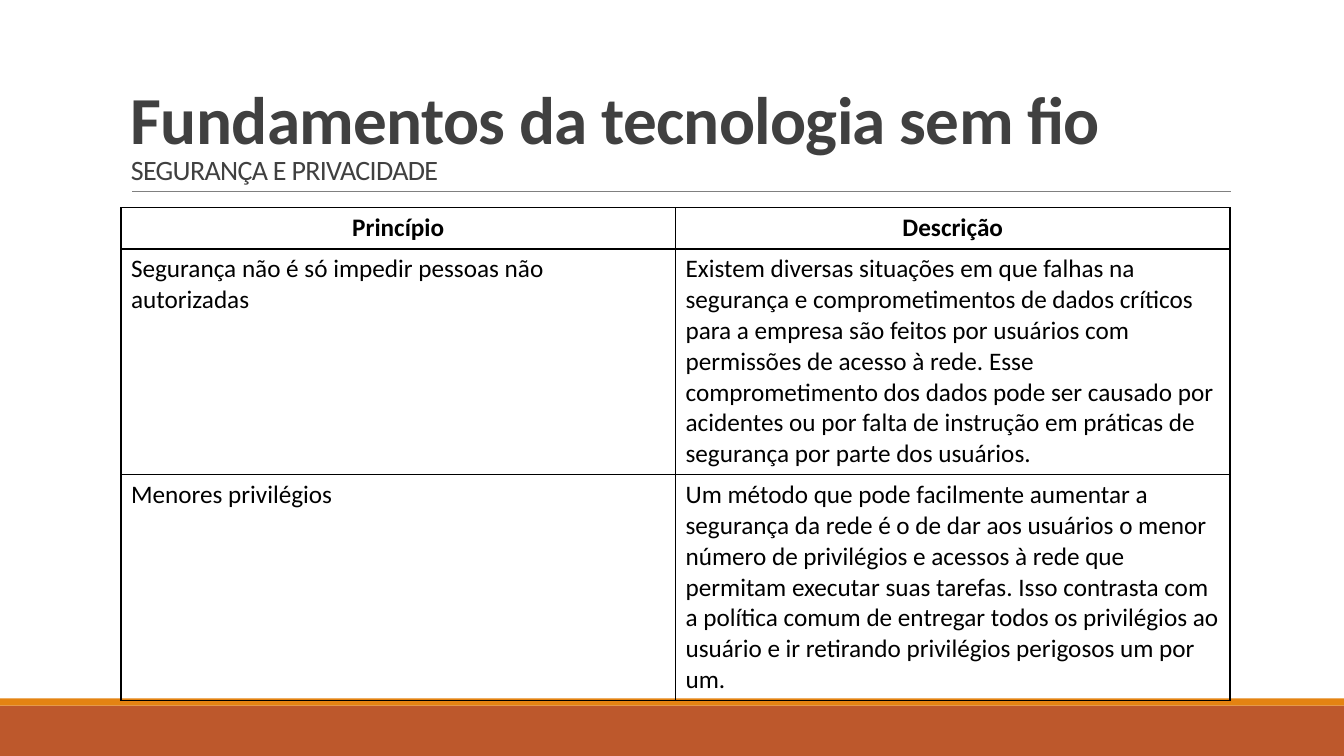
from lxml import etree
from pptx import Presentation
from pptx.dml.color import RGBColor
from pptx.enum.shapes import MSO_CONNECTOR, MSO_SHAPE
from pptx.enum.text import MSO_ANCHOR, PP_ALIGN
from pptx.oxml.ns import qn
from pptx.util import Inches, Pt

RECTANGLE = MSO_SHAPE.RECTANGLE
STRAIGHT = MSO_CONNECTOR.STRAIGHT
BOTTOM = MSO_ANCHOR.BOTTOM
LEFT, CENTER = PP_ALIGN.LEFT, PP_ALIGN.CENTER
RUST = RGBColor(0xBD, 0x58, 0x2C)
ORANGE = RGBColor(0xE4, 0x83, 0x12)
GRAY = RGBColor(0x80, 0x80, 0x80)
DARK = RGBColor(0x40, 0x40, 0x40)
BLACK = RGBColor(0, 0, 0)

ROWS = [
    ("Princípio", "Descrição"),
    (
        "Segurança não é só impedir pessoas não autorizadas",
        "Existem diversas situações em que falhas na segurança e comprometimentos "
        "de dados críticos para a empresa são feitos por usuários com permissões de "
        "acesso à rede. Esse comprometimento dos dados pode ser causado por acidentes "
        "ou por falta de instrução em práticas de segurança por parte dos usuários.",
    ),
    (
        "Menores privilégios",
        "Um método que pode facilmente aumentar a segurança da rede é o de dar aos "
        "usuários o menor número de privilégios e acessos à rede que permitam executar "
        "suas tarefas. Isso contrasta com a política comum de entregar todos os "
        "privilégios ao usuário e ir retirando privilégios perigosos um por um.",
    ),
]
ROW_HEIGHTS = [0.41, 2.24, 2.24]


def add_text(para, text, size=18, color=BLACK, bold=False, spacing=None):
    span = para.add_run()
    span.text = text
    span.font.name = "Calibri"
    span.font.size = Pt(size)
    span.font.bold = bold
    span.font.color.rgb = color
    if spacing is not None:
        span.font._element.set("spc", str(spacing))


def add_cell_borders(cell):
    properties = cell._tc.get_or_add_tcPr()
    for position, side in enumerate(("lnL", "lnR", "lnT", "lnB")):
        border = etree.Element(qn(f"a:{side}"), w=str(Pt(1)))
        fill = etree.SubElement(border, qn("a:solidFill"))
        etree.SubElement(fill, qn("a:srgbClr"), val=str(BLACK))
        properties.insert(position, border)


deck = Presentation()
deck.slide_width = Inches(13.33)
deck.slide_height = Inches(7.5)
page = deck.slides.add_slide(deck.slide_layouts[6])

for top, height, color in ((7, 0.5, RUST), (6.93, 0.07, ORANGE)):
    band = page.shapes.add_shape(
        RECTANGLE, 0, Inches(top), deck.slide_width, Inches(height)
    )
    band.shadow.inherit = False
    band.fill.solid()
    band.fill.fore_color.rgb = color
    band.line.fill.background()

rule = page.shapes.add_connector(
    STRAIGHT, Inches(1.31), Inches(1.9), Inches(12.21), Inches(1.9)
)
rule.line.color.rgb = GRAY
rule.line.width = Pt(0.5)
etree.SubElement(rule._element.spPr, qn("a:effectLst"))

title_box = page.shapes.add_textbox(Inches(1.2), Inches(0.31), Inches(11), Inches(1.59))
title_box.text_frame.word_wrap = True
title_box.text_frame.vertical_anchor = BOTTOM
title = title_box.text_frame.paragraphs[0]
title.line_spacing = 0.85
add_text(title, "Fundamentos da tecnologia sem fio", size=48, color=DARK, bold=True, spacing=-50)
title.add_line_break()
add_text(title, "SEGURANÇA E PRIVACIDADE", size=20, color=DARK, spacing=-50)

table = page.shapes.add_table(
    len(ROWS), 2, Inches(1.2), Inches(2.06), Inches(11), Inches(sum(ROW_HEIGHTS))
).table
table.first_row = False
table.horz_banding = False
for row_index, texts in enumerate(ROWS):
    table.rows[row_index].height = Inches(ROW_HEIGHTS[row_index])
    is_header = row_index == 0
    for column_index, text in enumerate(texts):
        cell = table.cell(row_index, column_index)
        cell.fill.background()
        add_cell_borders(cell)
        para = cell.text_frame.paragraphs[0]
        para.alignment = CENTER if is_header else LEFT
        add_text(para, text, bold=is_header)

deck.save("out.pptx")
